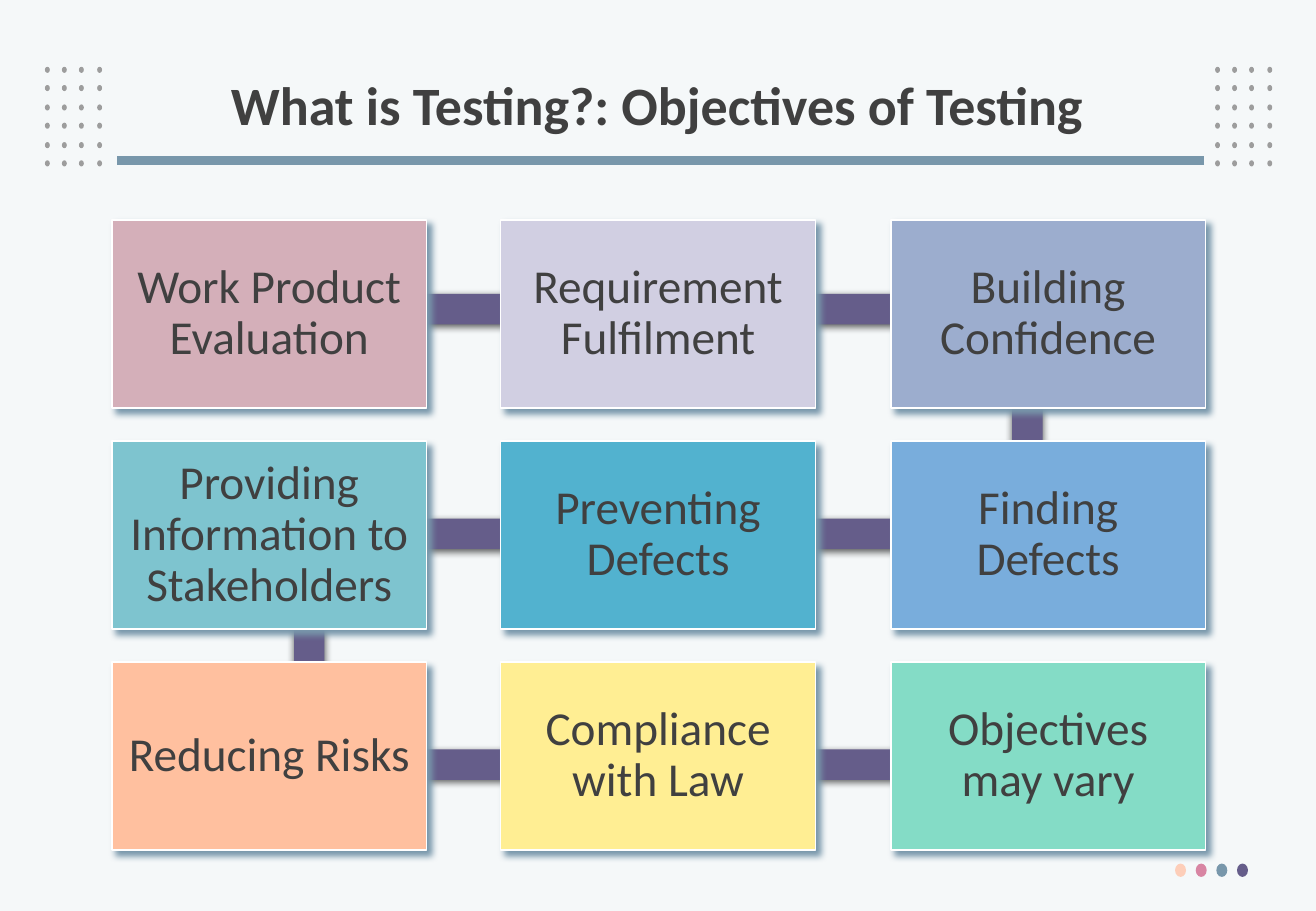
"""Build the slide on the objectives of testing."""
from dataclasses import dataclass

from lxml.etree import SubElement
from pptx import Presentation
from pptx.dml.color import RGBColor
from pptx.enum.shapes import MSO_CONNECTOR as Conn, MSO_SHAPE as Kind
from pptx.enum.text import MSO_ANCHOR as Anchor, PP_ALIGN as Align
from pptx.oxml.ns import qn
from pptx.shapes.autoshape import Shape
from pptx.shapes.shapetree import GroupShapes, SlideShapes
from pptx.text.text import TextFrame
from pptx.util import Emu, Pt

SCALE = 9144
FONT = "Calibri"
INK, GREY, BLUE, PLUM = "404040", "9D9D9D", "7897AB", "655D8A"


@dataclass(frozen=True)
class Area:
    """A place on the slide in px."""
    x: int
    y: int
    w: int
    h: int


@dataclass(frozen=True)
class Card:
    """One objective and its fill."""
    text: str
    fill: str


@dataclass(frozen=True)
class Shade:
    """An outer shadow, with lengths in points and the rest in percent and degrees."""
    color: str
    alpha: int
    blur: float
    dist: float
    angle: int


CARDS = [
    Card("Work Product Evaluation", "D4AFB9"),
    Card("Requirement Fulfilment", "D1CFE2"),
    Card("Building Confidence", "9CADCE"),
    Card("Providing Information to Stakeholders", "7EC4CF"),
    Card("Preventing Defects", "52B2CF"),
    Card("Finding Defects", "79ADDC"),
    Card("Reducing Risks", "FFC09F"),
    Card("Compliance with Law", "FFEE93"),
    Card("Objectives may vary", "84DCC6"),
]
BARS = [
    Area(333, 242, 91, 25), Area(656, 242, 94, 25), Area(833, 297, 25, 67),
    Area(656, 427, 94, 25), Area(339, 427, 87, 25), Area(242, 491, 25, 67),
    Area(647, 617, 94, 25), Area(338, 617, 87, 25),
]
BAR_SHADE = Shade("000000", 63, 4.5, 1.5, 90)
CARD_SHADE = Shade(BLUE, 100, 4, 4, 45)


def px(num: int) -> Emu:
    """Turn px into EMU."""
    return Emu(num * SCALE)


def color(code: str) -> RGBColor:
    """Turn a hex string into a colour."""
    return RGBColor.from_string(code)


def draw(shapes: SlideShapes | GroupShapes, kind: Kind, area: Area, fill: str) -> Shape:
    """Add a filled shape with no line and no shadow."""
    shape = shapes.add_shape(kind, px(area.x), px(area.y), px(area.w), px(area.h))
    shape.shadow.inherit = False
    shape.fill.solid()
    shape.fill.fore_color.rgb = color(fill)
    shape.line.fill.background()
    return shape


def cast(shape: Shape, shade: Shade) -> None:
    """Give a shape an outer shadow."""
    node = SubElement(
        shape._element.spPr.find(qn("a:effectLst")), qn("a:outerShdw"),
        blurRad=str(Pt(shade.blur)), dist=str(Pt(shade.dist)),
        dir=str(shade.angle * 60000), algn="ctr", rotWithShape="0")
    tint = SubElement(node, qn("a:srgbClr"), val=shade.color)
    SubElement(tint, qn("a:alpha"), val=str(shade.alpha * 1000))


def write(frame: TextFrame, text: str, size: int, bold: bool = False) -> None:
    """Write one centred run."""
    frame.word_wrap = True
    frame.vertical_anchor = Anchor.MIDDLE
    para = frame.paragraphs[0]
    para.alignment = Align.CENTER
    para.line_spacing = 0.9
    run = para.add_run()
    run.text = text
    run.font.name = FONT
    run.font.size = Pt(size)
    run.font.bold = bold
    run.font.color.rgb = color(INK)


def add_dots(shapes: SlideShapes) -> None:
    """Add both dot grids and the row of coloured dots."""
    grid = shapes.add_group_shape().shapes
    for row in range(6):
        for left in (37, 1000):
            for col in range(4):
                area = Area(left + round(14.2 * col), 55 + round(15.4 * row), 4, 5)
                draw(grid, Kind.OVAL, area, GREY)
    foot = shapes.add_group_shape().shapes
    for col, fill in enumerate(("FDCEB9", "D885A3", BLUE, PLUM)):
        draw(foot, Kind.OVAL, Area(967 + 17 * col, 711, 9, 11), fill)


def add_head(shapes: SlideShapes) -> None:
    """Add the title and the rule under it."""
    rule = shapes.add_connector(Conn.STRAIGHT, px(991), px(132), px(96), px(132))
    rule.line.color.rgb = color(BLUE)
    rule.line.width = Pt(5.25)
    SubElement(rule._element.spPr, qn("a:effectLst"))
    box = shapes.add_textbox(px(74), px(40), px(934), px(98))
    write(box.text_frame, "What is Testing?: Objectives of Testing", 32, True)


def add_cards(shapes: SlideShapes) -> None:
    """Add the bars and the grid of cards over them."""
    for bar in BARS:
        cast(draw(shapes, Kind.RECTANGLE, bar, PLUM), BAR_SHADE)
    group = shapes.add_group_shape().shapes
    for num, card in enumerate(CARDS):
        row, col = divmod(num, 3)
        area = Area(92 + round(320.5 * col), 181 + 182 * row, 259, 155)
        shape = draw(group, Kind.RECTANGLE, area, card.fill)
        shape.line.color.rgb = color("FFFFFF")
        shape.line.width = Pt(1)
        cast(shape, CARD_SHADE)
        frame = shape.text_frame
        frame.margin_left = frame.margin_right = px(12)
        frame.margin_top = frame.margin_bottom = px(12)
        write(frame, card.text, 28)


def main() -> None:
    """Build and save the slide."""
    deck = Presentation()
    deck.slide_width, deck.slide_height = px(1083), px(750)
    slide = deck.slides.add_slide(deck.slide_layouts[6])
    slide.background.fill.solid()
    slide.background.fill.fore_color.rgb = color("F5F8F9")
    add_dots(slide.shapes)
    add_head(slide.shapes)
    add_cards(slide.shapes)
    deck.save("out.pptx")


if __name__ == "__main__":
    main()
